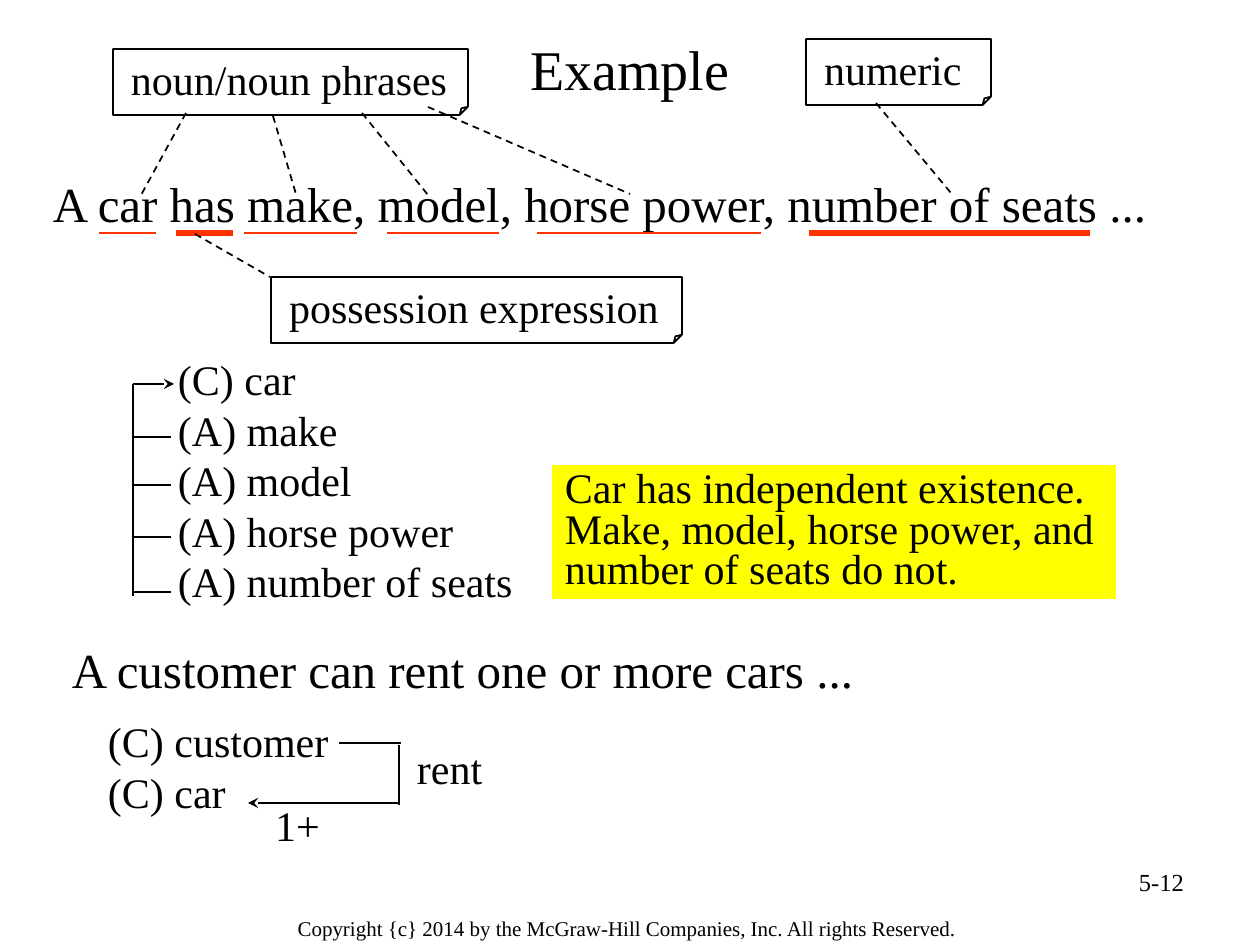
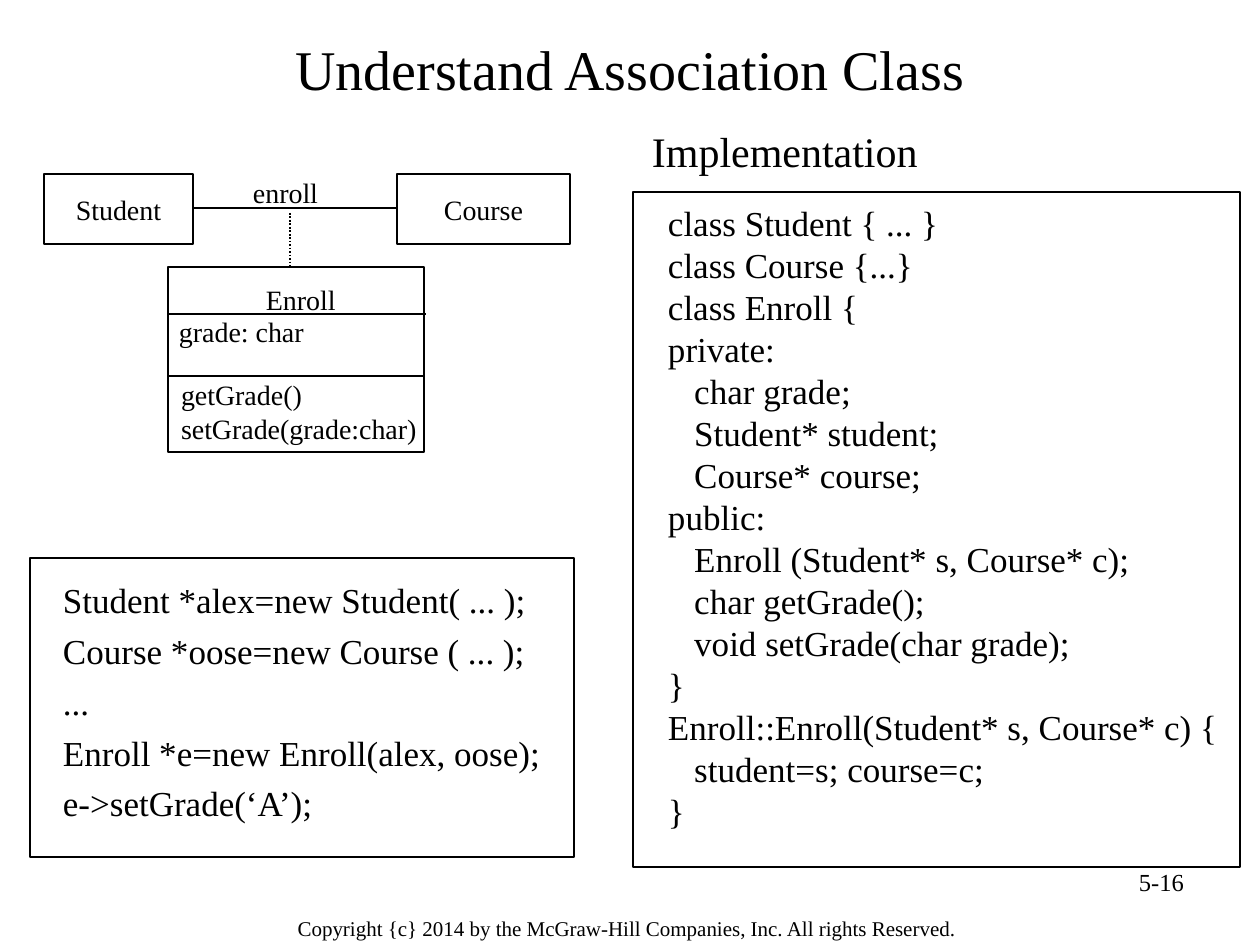
from dataclasses import dataclass
from typing import Any, NamedTuple, Optional

from lxml import etree
from pptx import Presentation
from pptx import util as u
from pptx.dml.color import RGBColor
from pptx.enum import dml, shapes, text
from pptx.oxml import ns

EMU_PER_PX = 914400 / 126
DASH = dml.MSO_LINE.DASH
DOT = dml.MSO_LINE.ROUND_DOT
LEFT, CENTER, RIGHT = text.PP_ALIGN.LEFT, text.PP_ALIGN.CENTER, text.PP_ALIGN.RIGHT
TOP, MIDDLE = text.MSO_ANCHOR.TOP, text.MSO_ANCHOR.MIDDLE
RECTANGLE = shapes.MSO_SHAPE.RECTANGLE
FOLDED = shapes.MSO_SHAPE.FOLDED_CORNER


@dataclass(frozen=True)
class Theme:
    font: str = "Times New Roman"
    ink: str = "000000"
    accent: str = "FF3300"
    highlight: str = "FFFF00"
    paper: str = "FFFFFF"
    title: int = 32
    sentence: int = 28
    body: int = 24
    code: int = 20
    diagram: int = 16
    page_number: int = 14
    copyright: int = 12
    leading: float = 1.2
    tight: float = 0.97
    thin: float = 0.75
    line: float = 1
    thick: float = 3


THEME = Theme()


class Area(NamedTuple):
    left: int
    top: int
    width: int
    height: int


class Pad(NamedTuple):
    x: int
    y: int


NO_PAD, BOX_PAD, NOTE_PAD = Pad(0, 0), Pad(13, 6), Pad(18, 14)


@dataclass(frozen=True)
class Label:
    words: str
    size: int = THEME.body
    pad: Pad = BOX_PAD
    align: Any = LEFT
    anchor: Any = TOP
    wrap: bool = False
    leading: float = THEME.leading
    gap: int = 0


@dataclass(frozen=True)
class Stroke:
    x1: int
    y1: int
    x2: int
    y2: int
    weight: float = THEME.line
    color: str = THEME.ink
    dash: Any = None
    arrow: bool = False


@dataclass(frozen=True)
class Panel:
    area: Area
    label: Optional[Label] = None
    fill: Optional[str] = None
    weight: float = THEME.line
    kind: Any = RECTANGLE


def px(length: int) -> u.Emu:
    return u.Emu(round(length * EMU_PER_PX))


def assign(target: Any, values: dict[str, Any]) -> None:
    for name, value in values.items():
        setattr(target, name, value)


def write(shape: Any, label: Label) -> None:
    """Fill the shape with one paragraph for each line of the label."""
    frame = shape.text_frame
    assign(frame, {
        "word_wrap": label.wrap, "vertical_anchor": label.anchor,
        "auto_size": text.MSO_AUTO_SIZE.NONE,
        "margin_left": px(label.pad.x), "margin_right": px(min(label.pad.x, 13)),
        "margin_top": px(label.pad.y), "margin_bottom": px(min(label.pad.y, 6)),
    })
    for index, words in enumerate(label.words.split("\n")):
        para = frame.add_paragraph() if index else frame.paragraphs[0]
        assign(para, {
            "alignment": label.align,
            "line_spacing": u.Pt(label.size * label.leading),
            "space_before": u.Pt(label.gap if index else 0),
        })
        span = para.add_run()
        span.text = words
        assign(span.font, {"name": THEME.font, "size": u.Pt(label.size)})
        span.font.color.rgb = RGBColor.from_string(THEME.ink)


def add_text(page: Any, area: Area, label: Label) -> None:
    write(page.shapes.add_textbox(*map(px, area)), label)


def set_fold(box: Any) -> None:
    """Make the folded corner one eighth of the shorter side."""
    guides = box._element.spPr.find(ns.qn("a:prstGeom")).find(ns.qn("a:avLst"))
    etree.SubElement(guides, ns.qn("a:gd"), name="adj", fmla="val 12500")


def add_panel(page: Any, panel: Panel) -> None:
    box = page.shapes.add_shape(panel.kind, *map(px, panel.area))
    box.shadow.inherit = False
    if panel.kind == FOLDED:
        set_fold(box)
    if panel.fill:
        box.fill.solid()
        box.fill.fore_color.rgb = RGBColor.from_string(panel.fill)
    else:
        box.fill.background()
    if panel.weight:
        box.line.width = u.Pt(panel.weight)
        box.line.color.rgb = RGBColor.from_string(THEME.ink)
    else:
        box.line.fill.background()
    if panel.label:
        write(box, panel.label)


def add_stroke(page: Any, stroke: Stroke) -> None:
    ends = map(px, (stroke.x1, stroke.y1, stroke.x2, stroke.y2))
    connector = page.shapes.add_connector(shapes.MSO_CONNECTOR.STRAIGHT, *ends)
    connector.line.color.rgb = RGBColor.from_string(stroke.color)
    assign(connector.line, {"width": u.Pt(stroke.weight), "dash_style": stroke.dash})
    properties = connector._element.spPr
    if stroke.arrow:
        outline = properties.find(ns.qn("a:ln"))
        etree.SubElement(outline, ns.qn("a:tailEnd"), type="stealth")
    etree.SubElement(properties, ns.qn("a:effectLst"))


def add_page(deck: Any, title: str, number: str) -> Any:
    """Add a page with the shared title, page number and copyright line."""
    page = deck.slides.add_slide(deck.slide_layouts[5])
    heading = page.shapes.title
    area = Area(63, 21, 1134, 94)
    assign(heading, dict(zip(area._fields, map(px, area))))
    write(heading, Label(title, THEME.title, align=CENTER, anchor=MIDDLE, wrap=True))
    add_text(page, Area(237, 910, 780, 39), Label(
        "Copyright {c} 2014 by the McGraw-Hill Companies, Inc. All rights Reserved.",
        THEME.copyright, align=CENTER, wrap=True))
    add_text(page, Area(903, 861, 294, 66),
             Label(number, THEME.page_number, align=RIGHT, wrap=True))
    return page


def draw_example(deck: Any) -> None:
    page = add_page(deck, "Example", "5-12")
    texts = [
        (Area(53, 174, 1097, 59), THEME.sentence,
         "A car has make, model, horse power, number of seats ..."),
        (Area(178, 354, 335, 252), THEME.body,
         "(C) car\n(A) make\n(A) model\n(A) horse power\n(A) number of seats"),
        (Area(72, 640, 784, 59), THEME.sentence,
         "A customer can rent one or more cars ..."),
        (Area(108, 716, 221, 101), THEME.body, "(C) customer\n(C) car"),
        (Area(417, 743, 66, 50), THEME.body, "rent"),
        (Area(275, 800, 45, 50), THEME.body, "1+"),
    ]
    for area, size, words in texts:
        add_text(page, area, Label(words, size, NO_PAD))

    notes = [
        (Area(113, 49, 355, 66), "noun/noun phrases"),
        (Area(806, 39, 185, 66), "numeric"),
        (Area(271, 277, 411, 66), "possession expression"),
    ]
    for area, words in notes:
        label = Label(words, pad=NOTE_PAD, wrap=True, leading=THEME.tight)
        add_panel(page, Panel(area, label, kind=FOLDED))
    add_panel(page, Panel(
        Area(552, 465, 564, 134),
        Label("Car has independent existence.\nMake, model, horse power, and\n"
              "number of seats do not.", wrap=True, leading=THEME.tight),
        fill=THEME.highlight, weight=0))

    underlines = [
        (99, 156, THEME.line), (176, 233, THEME.thick), (244, 357, THEME.line),
        (387, 499, THEME.line), (537, 761, THEME.line), (809, 1090, THEME.thick),
    ]
    note_links = [
        (186, 113, 140, 197), (273, 116, 296, 194), (362, 113, 428, 195),
        (428, 107, 630, 194), (876, 103, 951, 193), (195, 234, 270, 277),
    ]
    attribute_rows = (437, 485, 537, 592)
    strokes = [
        *(Stroke(x1, 233, x2, 233, weight, THEME.accent) for x1, x2, weight in underlines),
        *(Stroke(*ends, dash=DASH) for ends in note_links),
        *(Stroke(134, y, 171, y) for y in attribute_rows),
        Stroke(133, 384, 133, 596),
        Stroke(133, 384, 174, 384, arrow=True),
        Stroke(339, 743, 401, 743),
        Stroke(399, 745, 399, 805),
        Stroke(399, 803, 248, 803, arrow=True),
    ]
    for stroke in strokes:
        add_stroke(page, stroke)


USAGE_CODE = """Student *alex=new Student( ... );
Course *oose=new Course ( ... );
...
Enroll *e=new Enroll(alex, oose);
e->setGrade(‘A’);"""

CLASS_CODE = """class Student { ... }
class Course {...}
class Enroll {
private:
   char grade;
   Student* student;
   Course* course;
public:
   Enroll (Student* s, Course* c);
   char getGrade();
   void setGrade(char grade);
}
Enroll::Enroll(Student* s, Course* c) {
   student=s; course=c;
}"""


def draw_association_class(deck: Any) -> None:
    page = add_page(deck, "Understand Association Class", "5-16")
    panels = [Panel(Area(168, 267, 256, 185))]
    for area, name in ((Area(44, 174, 149, 70), "Student"),
                       (Area(397, 174, 173, 70), "Course")):
        label = Label(name, THEME.diagram, align=CENTER, anchor=MIDDLE)
        panels.append(Panel(area, label))
    for area in (Area(30, 558, 544, 299), Area(633, 192, 607, 675)):
        panels.append(Panel(area, fill=THEME.paper, weight=THEME.thin))
    for panel in panels:
        add_panel(page, panel)

    strokes = [
        Stroke(169, 314, 426, 314),
        Stroke(169, 376, 423, 376),
        Stroke(194, 208, 397, 208),
        Stroke(290, 213, 290, 267, dash=DOT),
    ]
    for stroke in strokes:
        add_stroke(page, stroke)

    texts = [
        (Area(253, 277, 96, 47), Label("Enroll", THEME.diagram)),
        (Area(166, 309, 150, 47), Label("grade: char", THEME.diagram)),
        (Area(168, 372, 261, 79), Label("getGrade()\nsetGrade(grade:char)", THEME.diagram)),
        (Area(253, 176, 66, 34), Label("enroll", THEME.diagram, NO_PAD)),
        (Area(639, 120, 291, 63), Label("Implementation")),
        (Area(50, 573, 556, 318), Label(USAGE_CODE, THEME.code, wrap=True, gap=5)),
        (Area(655, 195, 575, 685), Label(CLASS_CODE, THEME.code)),
    ]
    for area, label in texts:
        add_text(page, area, label)


def main() -> None:
    deck = Presentation()
    assign(deck, {"slide_width": px(1260), "slide_height": px(945)})
    draw_example(deck)
    draw_association_class(deck)
    deck.save("out.pptx")


if __name__ == "__main__":
    main()
